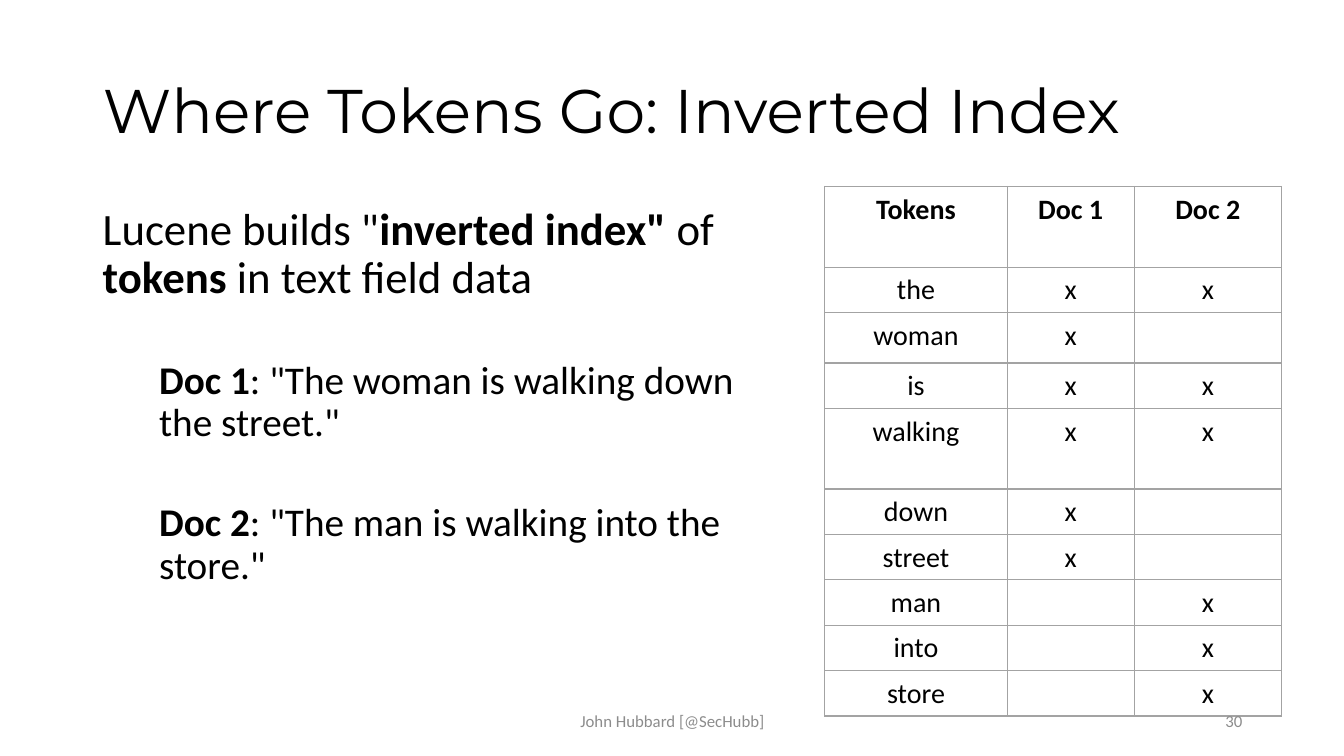
from dataclasses import dataclass

from lxml import etree
from pptx import Presentation
from pptx.dml.color import RGBColor
from pptx.enum.text import MSO_ANCHOR, MSO_AUTO_SIZE, PP_ALIGN
from pptx.oxml.ns import qn
from pptx.util import Inches, Pt

LEFT, CENTER, RIGHT = PP_ALIGN.LEFT, PP_ALIGN.CENTER, PP_ALIGN.RIGHT
TOP, MIDDLE = MSO_ANCHOR.TOP, MSO_ANCHOR.MIDDLE
NO_AUTOFIT = MSO_AUTO_SIZE.NONE
TITLE_ONLY = 5


@dataclass(frozen=True)
class Theme:
    """Colours, fonts and type sizes of the slide."""
    text: str = "000000"
    muted: str = "8C8C8C"
    border: str = "A3A3A3"
    heading_font: str = "Montserrat"
    body_font: str = "Calibri"
    title_size: int = 44
    lead_size: int = 32
    example_size: int = 28
    table_size: int = 20
    footer_size: int = 12


THEME = Theme()
LEAD = [("Lucene builds \"", False), ("inverted index\" ", True), ("of ", False),
        ("tokens", True), (" in text field data", False)]
EXAMPLES = [("Doc 1", ": \"The woman is walking down the street.\""),
            ("Doc 2", ": \"The man is walking into the store.\"")]
INDEX_ROWS = [
    ("Tokens", "Doc 1", "Doc 2"), ("the", "x", "x"), ("woman", "x", ""),
    ("is", "x", "x"), ("walking", "x", "x"), ("down", "x", ""),
    ("street", "x", ""), ("man", "", "x"), ("into", "", "x"), ("store", "", "x")]
COLUMN_WIDTHS = (1.81, 1.26, 1.46)
ROW_HEIGHT = 0.45
TALL_ROWS = {0: 0.8, 2: 0.5, 4: 0.8}


def apply_format(target, values):
    """Set each attribute named in a dict of format values."""
    for name, value in values.items():
        setattr(target, name, value)


def add_run(paragraph, text, size, bold=False, font=THEME.body_font, color=THEME.text):
    """Append one formatted run to a paragraph."""
    run = paragraph.add_run()
    run.text = text
    apply_format(run.font, {"name": font, "size": Pt(size), "bold": bold})
    run.font.color.rgb = RGBColor.from_string(color)


def place(shape, box, anchor):
    """Put a text shape in its box and set up its frame."""
    names = ("left", "top", "width", "height")
    apply_format(shape, dict(zip(names, map(Inches, box))))
    apply_format(shape.text_frame, {
        "word_wrap": True, "auto_size": NO_AUTOFIT, "vertical_anchor": anchor})
    return shape.text_frame


def add_title(slide, box, text):
    """Move, fill and format the title placeholder."""
    paragraph = place(slide.shapes.title, box, MIDDLE).paragraphs[0]
    apply_format(paragraph, {"alignment": LEFT, "line_spacing": 0.9})
    add_run(paragraph, text, THEME.title_size, font=THEME.heading_font)


def add_body(slide, box):
    """Add the lead sentence and the indented example documents."""
    frame = place(slide.shapes.add_textbox(0, 0, 0, 0), box, TOP)
    lead = frame.paragraphs[0]
    lead.line_spacing = 0.9
    for text, bold in LEAD:
        add_run(lead, text, THEME.lead_size, bold)
    for name, sentence in EXAMPLES:
        paragraph = frame.add_paragraph()
        apply_format(paragraph, {"level": 1, "line_spacing": 0.9, "space_before": Pt(41)})
        paragraph._p.get_or_add_pPr().set("marL", str(Inches(0.56)))
        add_run(paragraph, name, THEME.example_size, True)
        add_run(paragraph, sentence, THEME.example_size)


def add_borders(cell):
    """Draw a thin line on all four sides of a cell."""
    properties = cell._tc.get_or_add_tcPr()
    for side in ("lnL", "lnR", "lnT", "lnB"):
        line = etree.SubElement(properties, qn(f"a:{side}"), w=str(Pt(1)))
        fill = etree.SubElement(line, qn("a:solidFill"))
        etree.SubElement(fill, qn("a:srgbClr"), val=THEME.border)


def add_index_table(slide, left, top):
    """Add the table that maps each token to its documents."""
    heights = [TALL_ROWS.get(index, ROW_HEIGHT) for index in range(len(INDEX_ROWS))]
    table = slide.shapes.add_table(
        len(heights), len(COLUMN_WIDTHS), Inches(left), Inches(top),
        Inches(sum(COLUMN_WIDTHS)), Inches(sum(heights))).table
    apply_format(table, {"first_row": True, "horz_banding": False})
    for column, width in zip(table.columns, COLUMN_WIDTHS):
        column.width = Inches(width)
    for index, (row, height, texts) in enumerate(zip(table.rows, heights, INDEX_ROWS)):
        row.height = Inches(height)
        for cell, text in zip(row.cells, texts):
            apply_format(cell, {
                "margin_left": Inches(0.06), "margin_right": Inches(0.06),
                "margin_top": Inches(0.06), "margin_bottom": Inches(0.05)})
            add_borders(cell)
            cell.fill.background()
            if text:
                paragraph = cell.text_frame.paragraphs[0]
                paragraph.alignment = CENTER
                add_run(paragraph, text, THEME.table_size, index == 0)


def add_footer(slide, box, text, alignment):
    """Add one muted footer text."""
    frame = place(slide.shapes.add_textbox(0, 0, 0, 0), box, MIDDLE)
    paragraph = frame.paragraphs[0]
    paragraph.alignment = alignment
    add_run(paragraph, text, THEME.footer_size, color=THEME.muted)


def main():
    """Build the slide and save it."""
    presentation = Presentation()
    apply_format(presentation, {"slide_width": Inches(13.33), "slide_height": Inches(7.5)})
    slide = presentation.slides.add_slide(presentation.slide_layouts[TITLE_ONLY])
    add_title(slide, (0.92, 0.4, 11.5, 1.45), "Where Tokens Go: Inverted Index")
    add_body(slide, (0.92, 2, 6.65, 4.76))
    add_index_table(slide, 8.18, 1.85)
    add_footer(slide, (4.42, 6.95, 4.5, 0.4), "John Hubbard [@SecHubb]", CENTER)
    add_footer(slide, (9.42, 6.95, 3, 0.4), "30", RIGHT)
    presentation.save("out.pptx")


if __name__ == "__main__":
    main()
